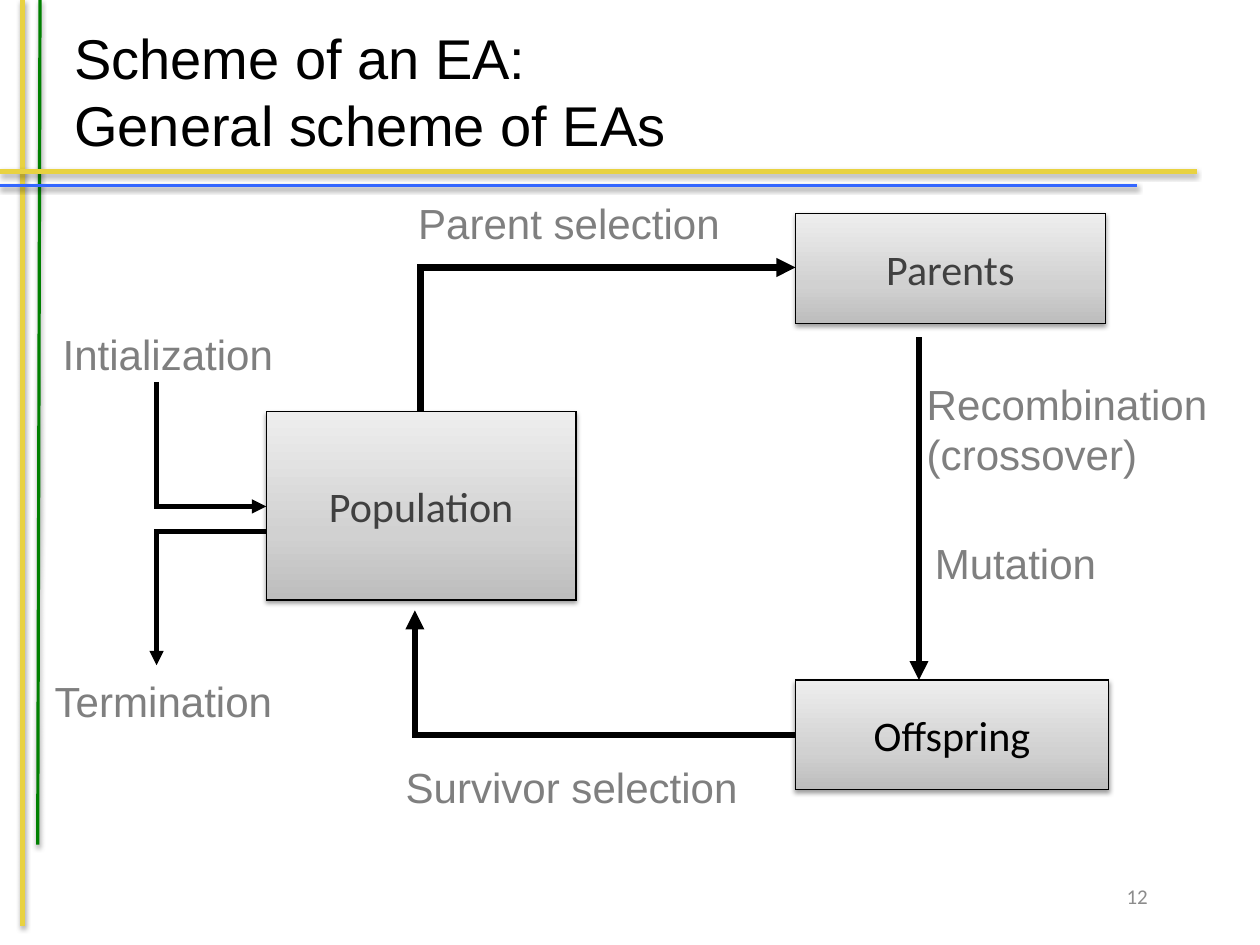
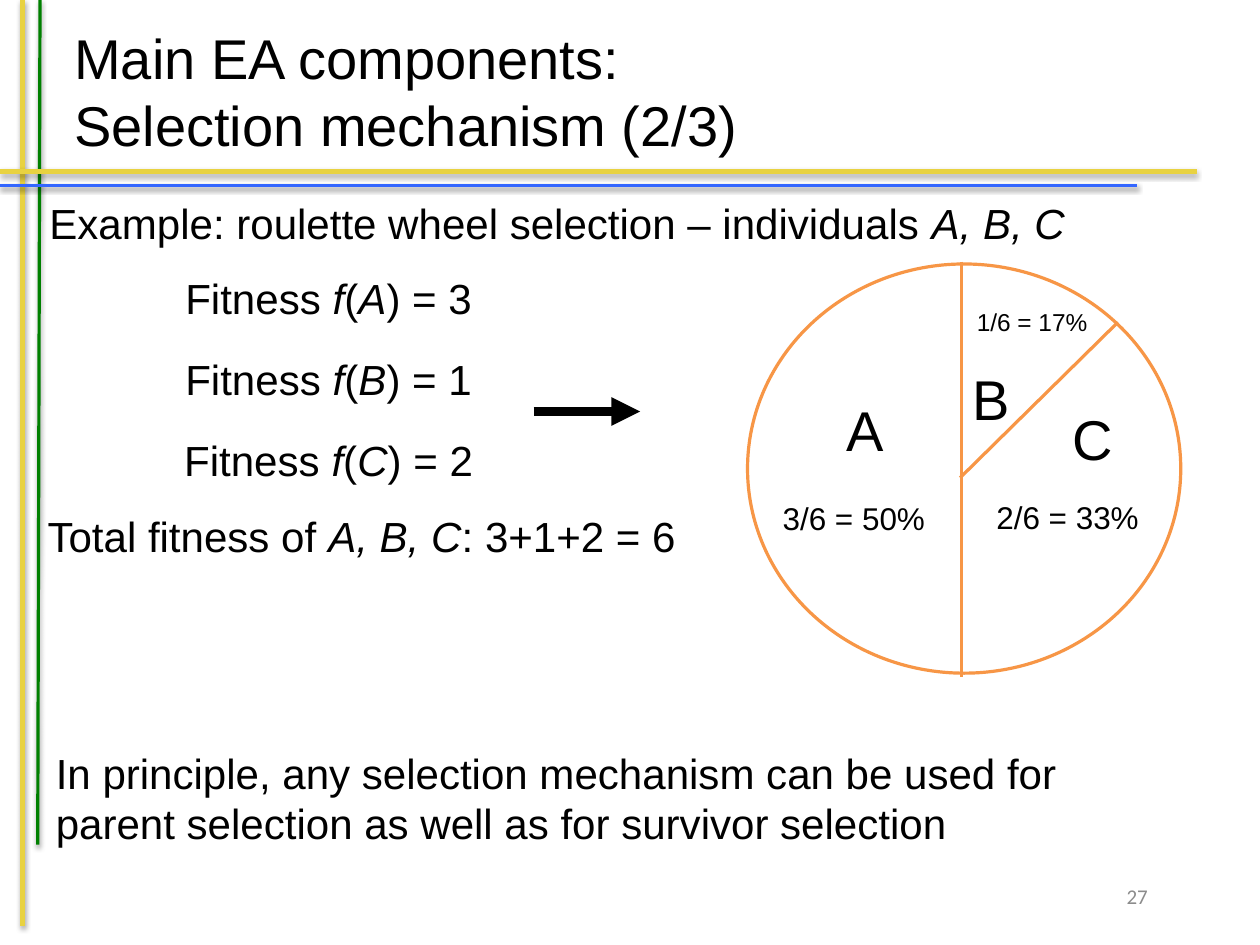
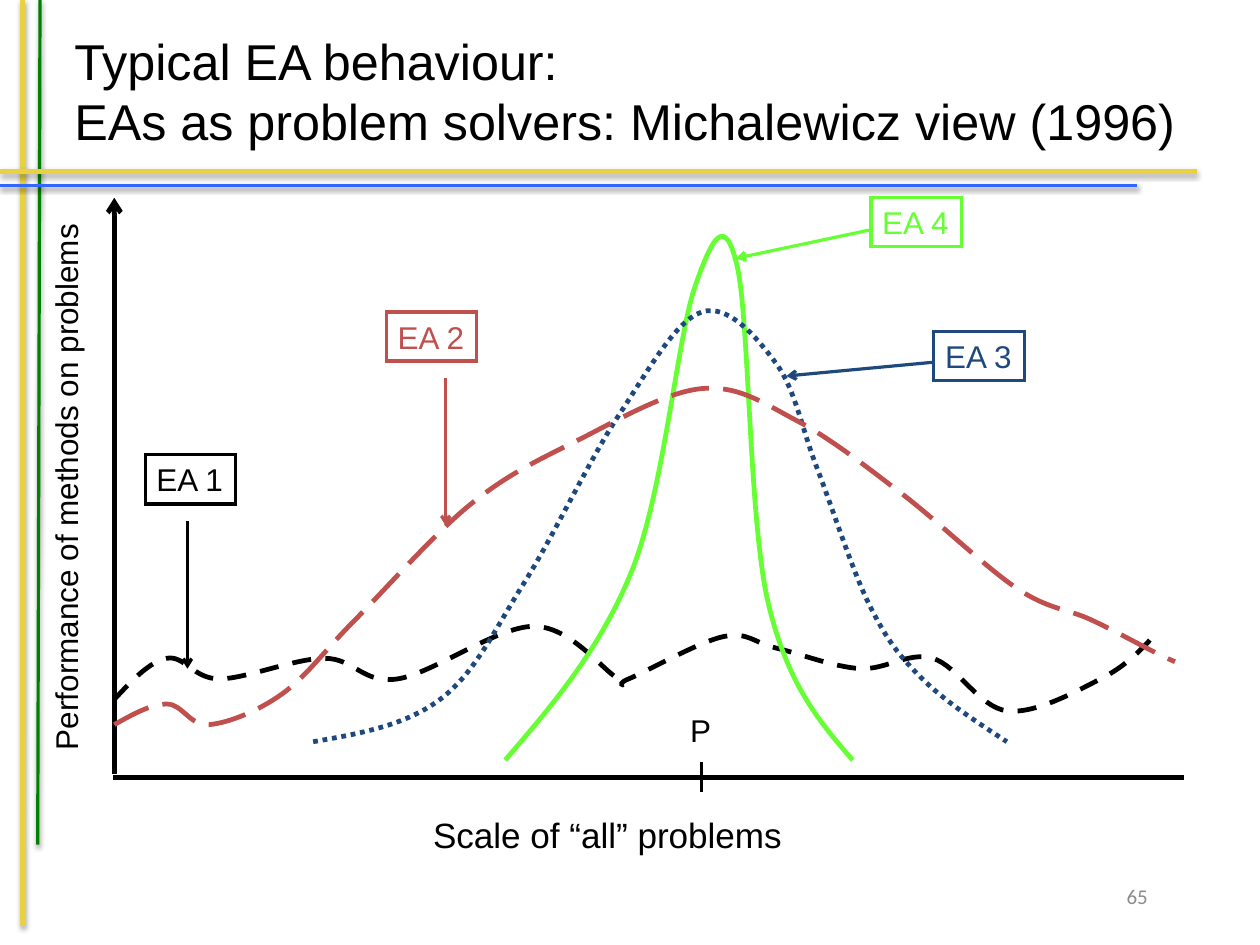
from pptx import Presentation
from pptx.dml.color import RGBColor
from pptx.enum.dml import MSO_LINE
from pptx.enum.shapes import MSO_CONNECTOR, MSO_SHAPE
from pptx.enum.text import MSO_ANCHOR, MSO_AUTO_SIZE, PP_ALIGN
from pptx.oxml.ns import qn
from pptx.oxml.xmlchemy import OxmlElement
from pptx.util import Cm, Inches, Pt
from copy import deepcopy

COLORS = {
    "black": "000000", "gray": "7F7F7F", "dark": "404040", "pale": "8C8C8C",
    "gold": "E8D241", "green": "008000", "blue": "3366FF", "orange": "F79646",
    "lime": "66FF33", "navy": "1F497D", "red": "C0504D", "white": "FFFFFF",
    "low": "BDBDBD", "mid": "D1D1D1", "high": "EEEEEE",
}
FADE = [(0, "low"), (0.35, "mid"), (1, "high")]
RULES = [
    ((0.2, 0), (0.2, 8.1), "gold", 3),
    ((0.35, 0), (0.33, 7.39), "green", 2),
    ((0, 1.5), (10.47, 1.5), "gold", 3),
    ((0, 1.62), (9.95, 1.62), "blue", 2),
]
TITLE = (0.55, 0.1, 9.92, 1.38)
NUMBER = (9.49, 7.54, 0.65, 0.6)
SHADOW = {"blurRad": 39400, "dist": 20300, "dir": 5400000, "rotWithShape": 0}


def tint(name):
    """Return the named colour."""
    return RGBColor.from_string(COLORS[name])


def put(item, **form):
    """Set attributes from a dict of format values."""
    for key, value in form.items():
        setattr(item, key, value)


def node(parent, tag, **attrs):
    """Append an XML child with attributes."""
    child = OxmlElement(tag)
    for key, value in attrs.items():
        child.set(key, str(value))
    parent.append(child)
    return child


def effect(shape, shadow=False):
    """Replace the theme shadow by none or by a soft one."""
    props = shape.element.spPr
    for old in props.findall(qn("a:effectLst")):
        props.remove(old)
    group = node(props, "a:effectLst")
    if shadow:
        cast = node(group, "a:outerShdw", **SHADOW)
        node(node(cast, "a:srgbClr", val=COLORS["black"]), "a:alpha", val=38000)


def stroke(shape, color, width, dash=None):
    """Format an outline with sharp corners."""
    shape.line.color.rgb = tint(color)
    put(shape.line, width=Pt(width), dash_style=dash)
    node(shape.element.spPr.find(qn("a:ln")), "a:miter", lim=800000)


def write(frame, text, size, color="black", font="Arial", align=PP_ALIGN.LEFT, **form):
    """Fill a text frame; stars enclose italics."""
    put(frame, **form)
    for row, words in enumerate(text.split("\n")):
        para = frame.add_paragraph() if row else frame.paragraphs[0]
        para.alignment = align
        for turn, part in enumerate(words.split("*")):
            if part:
                run = para.add_run()
                run.text = part
                put(run.font, size=Pt(size), name=font, italic=turn % 2 == 1)
                run.font.color.rgb = tint(color)


def label(slide, place, text, size=26.5, color="black", align=PP_ALIGN.LEFT):
    """Add a text box that fits its text."""
    box = slide.shapes.add_textbox(*map(Inches, place))
    write(box.text_frame, text, size, color, align=align, word_wrap=False,
          auto_size=MSO_AUTO_SIZE.SHAPE_TO_FIT_TEXT)
    return box


def line(slide, start, end, color="black", width=2, tip=None, shadow=False):
    """Draw a straight line or arrow."""
    link = slide.shapes.add_connector(
        MSO_CONNECTOR.STRAIGHT, *map(Inches, start + end))
    stroke(link, color, width)
    if tip:
        node(link.element.spPr.find(qn("a:ln")), "a:tailEnd", type=tip)
    effect(link, shadow)
    return link


def elbow(slide, start, end, width, tip):
    """Draw a line going vertically, then right, with one arrowhead."""
    (left, top), (right, base) = start, end
    midx, midy = (left + right) / 2, (top + base) / 2
    halfx, halfy = (top - base) / 2, (right - left) / 2
    spots = (midx - halfx, midy - halfy, midx + halfx, midy + halfy)
    link = slide.shapes.add_connector(MSO_CONNECTOR.ELBOW, *map(Inches, spots))
    props = link.element.spPr
    props.find(qn("a:xfrm")).set("rot", "16200000")
    props.find(qn("a:prstGeom")).set("prst", "bentConnector2")
    stroke(link, "black", width)
    node(props.find(qn("a:ln")), tip, type="triangle")
    effect(link)


def stage(slide, place, text, color):
    """Add a gradient box with a shadow."""
    box = slide.shapes.add_shape(MSO_SHAPE.RECTANGLE, *map(Inches, place))
    box.fill.gradient()
    box.fill.gradient_angle = 90
    stops = box.element.spPr.find(".//" + qn("a:gsLst"))
    stops.insert(1, deepcopy(stops[0]))
    for stop, (spot, name) in zip(box.fill.gradient_stops, FADE):
        stop.position = spot
        stop.color.rgb = tint(name)
    stroke(box, "black", 0.75)
    effect(box, True)
    write(box.text_frame, text, 26.5, color, "Calibri", PP_ALIGN.CENTER,
          word_wrap=False, vertical_anchor=MSO_ANCHOR.MIDDLE)


def bend(shape):
    """Turn the straight segments of a freeform into smooth curves."""
    dots = [(int(p.get("x")), int(p.get("y"))) for p in shape.element.iter(qn("a:pt"))]
    parts = list(shape.element.iter(qn("a:lnTo")))
    last = len(parts) - 1
    for i, part in enumerate(parts):
        here, there = dots[i], dots[i + 1]
        prior, after = dots[max(i - 1, 0)], dots[min(i + 2, last + 1)]
        out = [a + (b - p) / 6 for a, b, p in zip(here, there, prior)]
        into = [b - (n - a) / 6 for a, b, n in zip(here, there, after)]
        if i == 0:
            out = [(a + c) / 2 for a, c in zip(here, into)]
        if i == last:
            into = [(b + c) / 2 for b, c in zip(there, out)]
        part.tag = qn("a:cubicBezTo")
        target = part[0]
        for x, y in (out, into):
            node(part, "a:pt", x=round(x), y=round(y))
        part.append(target)


def curve(slide, knots, color, dash):
    """Draw a smooth curve through the knots."""
    first, *rest = [(Inches(x), Inches(y)) for x, y in knots]
    form = slide.shapes.build_freeform(*first)
    form.add_line_segments(rest, close=False)
    shape = form.convert_to_shape()
    shape.fill.background()
    stroke(shape, color, 3, dash)
    effect(shape)
    bend(shape)


def page(deck, title, number, size=35.3, place=TITLE):
    """Add a slide with its title and number."""
    slide = deck.slides.add_slide(deck.slide_layouts[5])
    head = slide.shapes.title
    put(head, **dict(zip(("left", "top", "width", "height"), map(Inches, place))))
    style = {"word_wrap": True, "vertical_anchor": MSO_ANCHOR.MIDDLE,
             "auto_size": MSO_AUTO_SIZE.NONE}
    put(head.text_frame, **style)
    head.text_frame.text = title
    para = head.text_frame.paragraphs[0]
    para.alignment = PP_ALIGN.LEFT
    for run in para.runs:
        put(run.font, size=Pt(size), name="Arial")
        run.font.color.rgb = tint("black")
    foot = slide.shapes.add_textbox(*map(Inches, NUMBER))
    write(foot.text_frame, number, 13.2, "pale", "Calibri", PP_ALIGN.RIGHT, **style)
    return slide


def frame(deck, slide):
    """Move the crossing rules to the slide master."""
    tree = deck.slide_master.shapes.element
    for start, end, color, width in RULES:
        tree.append(line(slide, start, end, color, width, shadow=True).element)


def scheme(slide):
    """Draw the cycle of an evolutionary algorithm."""
    for place, text, color in (
        ((2.33, 3.6, 2.71, 1.65), "Population", "dark"),
        ((6.96, 1.87, 2.71, 0.96), "Parents", "dark"),
        ((6.96, 5.95, 2.74, 0.96), "Offspring", "black"),
    ):
        stage(slide, place, text, color)
    for place, text in (
        ((3.56, 1.68, 2.89, 0.55), "Parent selection"),
        ((3.45, 6.61, 3.15, 0.55), "Survivor selection"),
        ((8.01, 3.26, 2.7, 1), "Recombination\n(crossover)"),
        ((8.08, 4.65, 1.65, 0.55), "Mutation"),
        ((0.45, 2.82, 2.06, 0.55), "Intialization"),
        ((0.38, 5.86, 2.12, 0.55), "Termination"),
    ):
        label(slide, place, text, color="gray")
    for start, end, width, tip in (
        ((3.68, 3.6), (6.96, 2.34), 4, "a:tailEnd"),
        ((3.63, 5.34), (6.96, 6.43), 4, "a:headEnd"),
        ((1.37, 3.34), (2.33, 4.43), 3, "a:tailEnd"),
        ((1.37, 5.82), (2.33, 4.65), 3, "a:headEnd"),
    ):
        elbow(slide, start, end, width, tip)
    line(slide, (8.04, 2.95), (8.04, 5.95), width=4, tip="triangle")


def wheel(slide):
    """Draw the roulette wheel example."""
    mid = PP_ALIGN.CENTER
    label(slide, (0.28, 1.68, 9.19, 0.55),
          "Example: roulette wheel selection – individuals *A, B, C*", align=mid)
    for row, (name, score) in enumerate((("A", 3), ("B", 1), ("C", 2))):
        label(slide, (1.5, 2.33 + 0.71 * row, 2.75, 0.55),
              f"Fitness *f*(*{name}*) = {score}", align=mid)
    label(slide, (0.23, 4.42, 5.87, 0.55),
          "Total fitness of *A, B, C*: 3+1+2 = 6", align=mid)
    label(slide, (0.39, 6.49, 9.17, 1.44),
          "In principle, any selection mechanism can be used for\n"
          "parent selection as well as for survivor selection")
    line(slide, (4.67, 3.6), (5.6, 3.6), width=6, tip="triangle")
    disc = slide.shapes.add_shape(MSO_SHAPE.OVAL, *map(Inches, (6.54, 2.31, 3.79, 3.58)))
    disc.fill.solid()
    disc.fill.fore_color.rgb = tint("white")
    stroke(disc, "orange", 2)
    effect(disc)
    for place, text, size in (
        ((7.29, 3.41, 0.55, 0.7), "A", 35.3),
        ((8.4, 3.14, 0.55, 0.7), "B", 35.3),
        ((9.27, 3.49, 0.58, 0.7), "C", 35.3),
        ((6.73, 4.32, 1.48, 0.44), "3/6 = 50%", 19.8),
        ((8.43, 2.64, 1.2, 0.37), "1/6 = 17%", 15.4),
        ((8.6, 4.31, 1.48, 0.44), "2/6 = 33%", 19.8),
    ):
        label(slide, place, text, size, align=mid)
    line(slide, (8.4, 4.18), (9.78, 2.82), "orange")
    line(slide, (8.41, 2.29), (8.41, 5.92), "orange")


def graph(slide):
    """Draw the performance curves of four algorithms."""
    line(slide, (0.99, 6.8), (10.36, 6.8), width=3)
    line(slide, (6.14, 6.67), (6.14, 6.93))
    line(slide, (1, 6.77), (1, 1.73), width=3, tip="arrow")
    label(slide, (3.69, 7.07, 3.28, 0.47), "Scale of “all” problems", 22.1)
    label(slide, (5.94, 6.17, 0.39, 0.43), "P", 19.8)
    side = label(slide, (-1.85, 4.02, 4.85, 0.43),
                 "Performance of methods on problems", 19.8)
    side.rotation = 270
    for text, color, dash, spot, start, end, knots in (
        ("EA 1", "black", MSO_LINE.DASH, (1.27, 3.98), (1.64, 4.56), (1.64, 5.85),
         [(1, 6.12), (1.46, 5.76), (1.92, 5.94), (2.84, 5.76), (3.48, 5.94),
          (4.67, 5.48), (5.41, 5.94), (5.5, 5.94), (6.33, 5.57), (6.79, 5.67),
          (7.52, 5.85), (8.16, 5.76), (8.81, 6.22), (9.63, 5.94), (10.09, 5.57)]),
        ("EA 4", "lime", None, (7.62, 1.73), (7.62, 2.01), (6.44, 2.26),
         [(4.42, 6.65), (5.53, 4.99), (6.08, 2.51), (6.45, 2.33), (6.72, 5.27),
          (7.46, 6.65)]),
        ("EA 3", "navy", MSO_LINE.ROUND_DOT, (8.17, 2.9), (8.16, 3.17), (6.88, 3.29),
         [(2.74, 6.49), (3.85, 6.12), (4.58, 5.11), (5.41, 3.64), (6.14, 2.73),
          (6.79, 3.18), (7.15, 4.1), (7.61, 5.3), (8.07, 5.94), (8.81, 6.49)]),
        ("EA 2", "red", MSO_LINE.LONG_DASH, (3.38, 2.73), (3.9, 3.31), (3.9, 4.6),
         [(1, 6.34), (1.46, 6.16), (1.83, 6.34), (2.47, 6.07), (3.11, 5.42),
          (4.12, 4.41), (5.04, 3.86), (6.14, 3.4), (6.97, 3.68), (7.89, 4.32),
          (8.9, 5.15), (9.54, 5.42), (10.09, 5.7), (10.28, 5.79)]),
    ):
        curve(slide, knots, color, dash)
        stroke(label(slide, spot + (0.79, 0.43), text, 19.8, color), color, 2)
        line(slide, start, end, color, tip="arrow")


def main():
    """Build and save the deck."""
    deck = Presentation()
    deck.slide_width = Cm(28)
    deck.slide_height = Cm(21)
    first = page(deck, "Scheme of an EA:\vGeneral scheme of EAs", "12")
    frame(deck, first)
    scheme(first)
    wheel(page(deck, "Main EA components:\vSelection mechanism (2/3)", "27"))
    graph(page(deck, "Typical EA behaviour:\vEAs as problem solvers: Michalewicz view (1996)",
               "65", 31.7, (0.55, 0.1, 10.32, 1.38)))
    deck.save("out.pptx")


if __name__ == "__main__":
    main()
